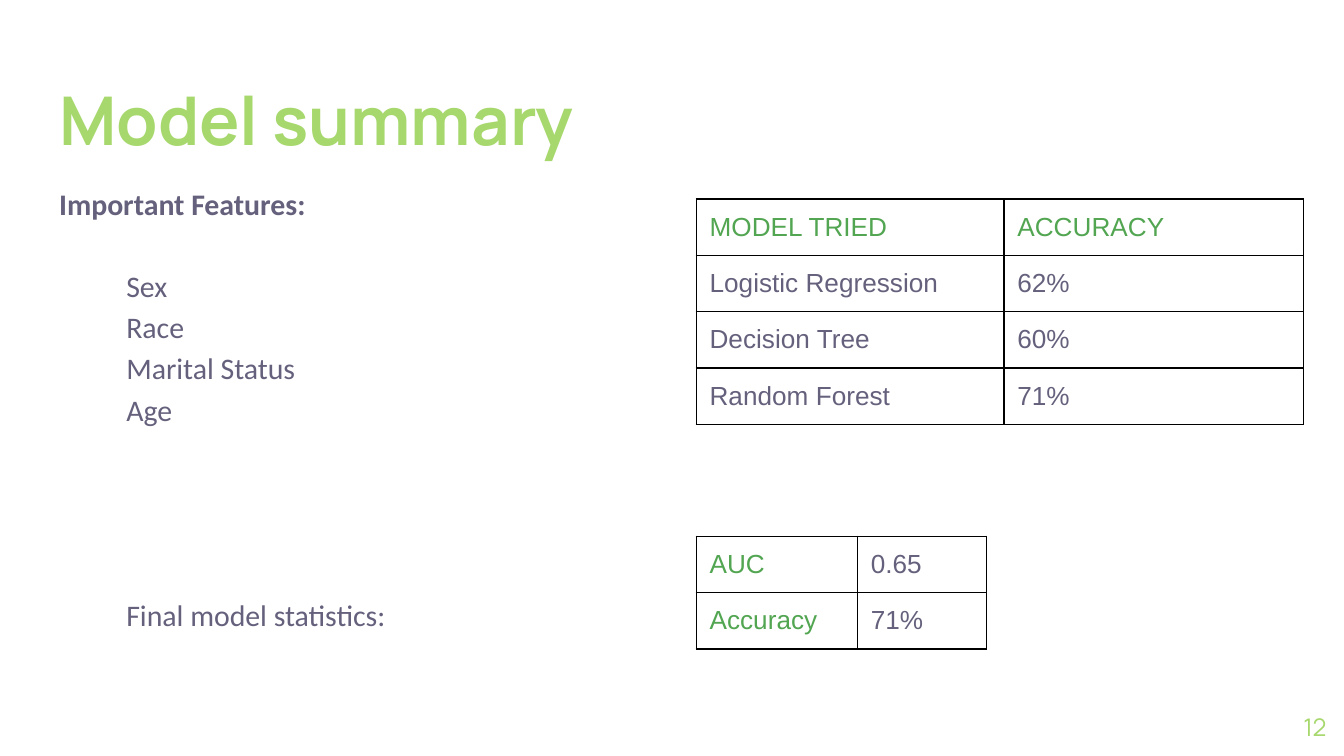
import pptx
import pptx.dml.color
import pptx.enum.text
import pptx.oxml
import pptx.oxml.ns
import pptx.util
from pptx.util import Inches

RGBColor = pptx.dml.color.RGBColor
LIME = RGBColor(0xA7, 0xD8, 0x6D)
GREEN = RGBColor(0x52, 0xA5, 0x51)
SLATE = RGBColor(0x65, 0x61, 0x7D)
BLACK = RGBColor(0, 0, 0)
ANCHOR = pptx.enum.text.MSO_ANCHOR
ALIGN = pptx.enum.text.PP_ALIGN
ROW = 0.42
LINE = 22


def put_text(para, text, font, size, color, bold=False, align=None,
             indent=0, before=0, spacing=None):
    """Fill a paragraph; indent is in inches, before in points."""
    if indent:
        para._p.get_or_add_pPr().set("marL", str(Inches(indent)))
    para.alignment = align
    para.line_spacing = spacing
    if before:
        para.space_before = pptx.util.Pt(before)
    run = para.add_run()
    run.text = text
    run.font.name = font
    run.font.size = pptx.util.Pt(size)
    run.font.bold = bold
    run.font.color.rgb = color


def add_box(slide, left, top, width, height, anchor=ANCHOR.TOP):
    """Add an empty text box without margins and return its frame."""
    box = slide.shapes.add_textbox(Inches(left), Inches(top),
                                   Inches(width), Inches(height))
    frame = box.text_frame
    frame.word_wrap = True
    frame.vertical_anchor = anchor
    frame.margin_left = frame.margin_right = 0
    frame.margin_top = frame.margin_bottom = 0
    return frame


def set_border(cell):
    props = cell._tc.get_or_add_tcPr()
    space = pptx.oxml.ns.nsdecls("a")
    for index, side in enumerate(("lnL", "lnR", "lnT", "lnB")):
        edge = pptx.oxml.parse_xml(
            f'<a:{side} {space} w="{pptx.util.Pt(0.75)}"><a:solidFill>'
            f'<a:srgbClr val="{BLACK}"/></a:solidFill></a:{side}>')
        props.insert(index, edge)


def add_grid(slide, left, top, widths, rows, head_row=False, head_col=False):
    """Add a ruled table whose head row or head column is green."""
    frame = slide.shapes.add_table(
        len(rows), len(widths), Inches(left), Inches(top),
        Inches(sum(widths)), Inches(ROW * len(rows)))
    table = frame.table
    table.first_row = head_row
    table.first_col = head_col
    table.horz_banding = False
    for col, width in zip(table.columns, widths):
        col.width = Inches(width)
    for r, row in enumerate(rows):
        table.rows[r].height = Inches(ROW)
        for c, text in enumerate(row):
            cell = table.cell(r, c)
            cell.margin_left = cell.margin_right = Inches(0.1)
            cell.margin_top = Inches(0.1)
            cell.margin_bottom = Inches(0.08)
            cell.fill.background()
            set_border(cell)
            head = (head_row and r == 0) or (head_col and c == 0)
            put_text(cell.text_frame.paragraphs[0], text, "Arial", 14,
                     GREEN if head else SLATE)


def add_notes(slide):
    """Add the feature list and the line that leads to the final figures."""
    frame = add_box(slide, 0.44, 1.34, 3.65, 2.01)
    put_text(frame.paragraphs[0], "Important Features:", "Calibri", 16, SLATE,
             bold=True, spacing=1.15)
    gaps = {"Sex": LINE, "Race": 0, "Marital Status": 0, "Age": 0,
            "Final model statistics:": 4 * LINE}
    for text, gap in gaps.items():
        put_text(frame.add_paragraph(), text, "Calibri", 16, SLATE,
                 indent=0.5, before=gap, spacing=1.15)


def main():
    deck = pptx.Presentation()
    deck.slide_width = Inches(10)
    deck.slide_height = deck.slide_width * 9 // 16
    slide = deck.slides.add_slide(deck.slide_layouts[6])

    title = add_box(slide, 0.44, 0.24, 6.89, 0.94, ANCHOR.BOTTOM)
    put_text(title.paragraphs[0], "Model summary", "Manrope", 36, LIME,
             bold=True)
    add_notes(slide)
    number = add_box(slide, 9.27, 5.19, 0.6, 0.43, ANCHOR.MIDDLE)
    put_text(number.paragraphs[0], "12", "Manrope", 13, LIME,
             align=ALIGN.RIGHT)

    add_grid(slide, 5.18, 1.48, (2.29, 2.23), (
        ("MODEL TRIED", "ACCURACY"),
        ("Logistic Regression", "62%"),
        ("Decision Tree", "60%"),
        ("Random Forest", "71%")), head_row=True)
    add_grid(slide, 5.18, 3.99, (1.2, 0.96), (
        ("AUC", "0.65"),
        ("Accuracy", "71%")), head_col=True)
    deck.save("out.pptx")


if __name__ == "__main__":
    main()
